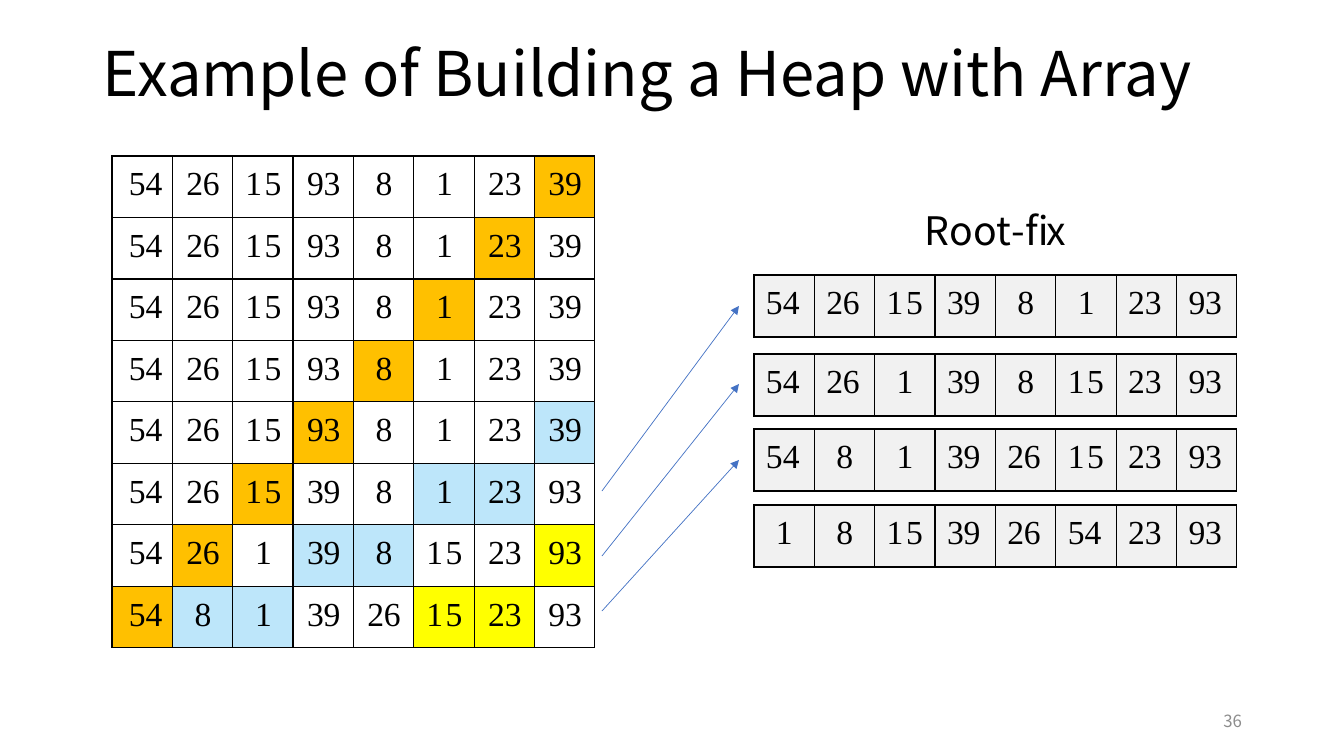
from lxml import etree
from pptx import Presentation
from pptx.dml.color import RGBColor
from pptx.enum.shapes import MSO_CONNECTOR
from pptx.enum.text import MSO_ANCHOR, PP_ALIGN
from pptx.oxml import parse_xml
from pptx.oxml.ns import nsdecls, qn
from pptx.util import Pt

BLACK = RGBColor(0x00, 0x00, 0x00)
GRAY = RGBColor(0x8C, 0x8C, 0x8C)
PALE = RGBColor(0xF1, 0xF1, 0xF1)
ORANGE = RGBColor(0xFF, 0xC0, 0x00)
SKY = RGBColor(0xBD, 0xE6, 0xFA)
YELLOW = RGBColor(0xFF, 0xFF, 0x00)
ARROW_BLUE = RGBColor(0x44, 0x72, 0xC4)

LEFT, CENTER, RIGHT = PP_ALIGN.LEFT, PP_ALIGN.CENTER, PP_ALIGN.RIGHT
TOP, MIDDLE = MSO_ANCHOR.TOP, MSO_ANCHOR.MIDDLE
STRAIGHT = MSO_CONNECTOR.STRAIGHT

SANS, SERIF = "Noto Sans CJK SC", "Times New Roman"
MARK_COLORS = {"o": ORANGE, "b": SKY, "y": YELLOW, "g": PALE}
# Letter spacing of each number, in hundredths of a point
NUMBER_SPACING = {"15": 180, "26": -20, "23": -10, "39": -10, "93": -10}

# Heap construction steps: numbers, then one mark per cell
BUILD_STEPS = [
    ("54 26 15 93 8 1 23 39", ".......o"),
    ("54 26 15 93 8 1 23 39", "......o."),
    ("54 26 15 93 8 1 23 39", ".....o.."),
    ("54 26 15 93 8 1 23 39", "....o..."),
    ("54 26 15 93 8 1 23 39", "...o...b"),
    ("54 26 15 39 8 1 23 93", "..o..bb."),
    ("54 26 1 39 8 15 23 93", ".o.bb..y"),
    ("54 8 1 39 26 15 23 93", "obb..yy."),
]
ROOT_FIXES = [
    (275, "54 26 15 39 8 1 23 93"),
    (354, "54 26 1 39 8 15 23 93"),
    (429, "54 8 1 39 26 15 23 93"),
    (505, "1 8 15 39 26 54 23 93"),
]
ARROW_HEIGHTS = [(491, 306), (556, 384), (611, 460)]


def px(length):
    return round(length * 914400 / 100.8)


def apply(target, values):
    for name, value in values.items():
        setattr(target, name, value)


class HeapSlide:
    def __init__(self, deck):
        self.page = deck.slides.add_slide(deck.slide_layouts[6])

    def span(self, para, text, font, size, color, spacing=0):
        span = para.add_run()
        span.text = text
        apply(span.font, {"name": font, "size": Pt(size)})
        span.font.color.rgb = color
        if spacing:
            span.font._element.set("spc", str(spacing))

    def text(self, place, spans, size, color=BLACK, align=LEFT, line=1.0, **frame):
        box = self.page.shapes.add_textbox(*map(px, place))
        apply(box.text_frame, {"word_wrap": True, "vertical_anchor": MIDDLE, **frame})
        para = box.text_frame.paragraphs[0]
        apply(para, {"alignment": align, "line_spacing": line})
        for words, spacing in spans:
            self.span(para, words, SANS, size, color, spacing)

    def table(self, place, rows, indented=False):
        columns = len(rows[0][1])
        frame = self.page.shapes.add_table(len(rows), columns, *map(px, place))
        grid = frame.table
        apply(grid, {"first_row": False, "horz_banding": False})
        for row, (numbers, marks) in enumerate(rows):
            for column, (number, mark) in enumerate(zip(numbers.split(), marks)):
                cell = grid.cell(row, column)
                if indented:
                    align, left, right = LEFT, 12 if len(number) == 2 else 22, 0
                elif column == 0:
                    align, left, right = RIGHT, 0, 10
                else:
                    align, left, right = CENTER, 1, 0
                self.cell(cell, number, mark, align, left, right)

    def cell(self, cell, number, mark, align, left, right):
        apply(cell, {"margin_left": px(left), "margin_right": px(right),
                     "margin_top": px(10), "margin_bottom": 0,
                     "vertical_anchor": TOP})
        # Borders come before the fill in the cell properties
        properties = cell._tc.get_or_add_tcPr()
        for side in "LRTB":
            properties.append(parse_xml(
                f'<a:ln{side} {nsdecls("a")} w="12700"><a:solidFill>'
                f'<a:srgbClr val="{BLACK}"/></a:solidFill></a:ln{side}>'))
        if mark in MARK_COLORS:
            cell.fill.solid()
            cell.fill.fore_color.rgb = MARK_COLORS[mark]
        else:
            cell.fill.background()
        para = cell.text_frame.paragraphs[0]
        para.alignment = align
        self.span(para, number, SERIF, 24, BLACK, NUMBER_SPACING.get(number, 0))

    def arrow(self, start, end):
        arrow = self.page.shapes.add_connector(STRAIGHT, *map(px, start + end))
        arrow.line.width = Pt(0.5)
        arrow.line.color.rgb = ARROW_BLUE
        etree.SubElement(arrow.line._get_or_add_ln(), qn("a:tailEnd"), type="triangle")
        etree.SubElement(arrow._element.spPr, qn("a:effectLst"))


def main():
    deck = Presentation()
    apply(deck, {"slide_width": px(1344), "slide_height": px(756)})
    slide = HeapSlide(deck)

    # Title and page number
    slide.text((93, 4, 1159, 146), [("Example of Building a Heap with Array", 0)],
               44, line=0.9)
    slide.text((950, 701, 302, 40), [("36", 0)], 12, GRAY, RIGHT)

    # Array after each construction step
    slide.table((112, 156, 483, 492), BUILD_STEPS)

    # Root-fix results
    for top, numbers in ROOT_FIXES:
        slide.table((754, top, 483, 62), [(numbers, "g" * 8)], indented=True)
    slide.text((924, 205, 144, 48),
               [("R", -280), ("oo", -30), ("t", -10), ("-", -120), ("fix", -60)], 28,
               word_wrap=False, vertical_anchor=TOP, margin_left=px(1),
               margin_right=0, margin_top=px(1), margin_bottom=0)

    # Arrows from the steps to their results
    for start, end in ARROW_HEIGHTS:
        slide.arrow((602, start), (739, end))

    deck.save("out.pptx")


if __name__ == "__main__":
    main()
